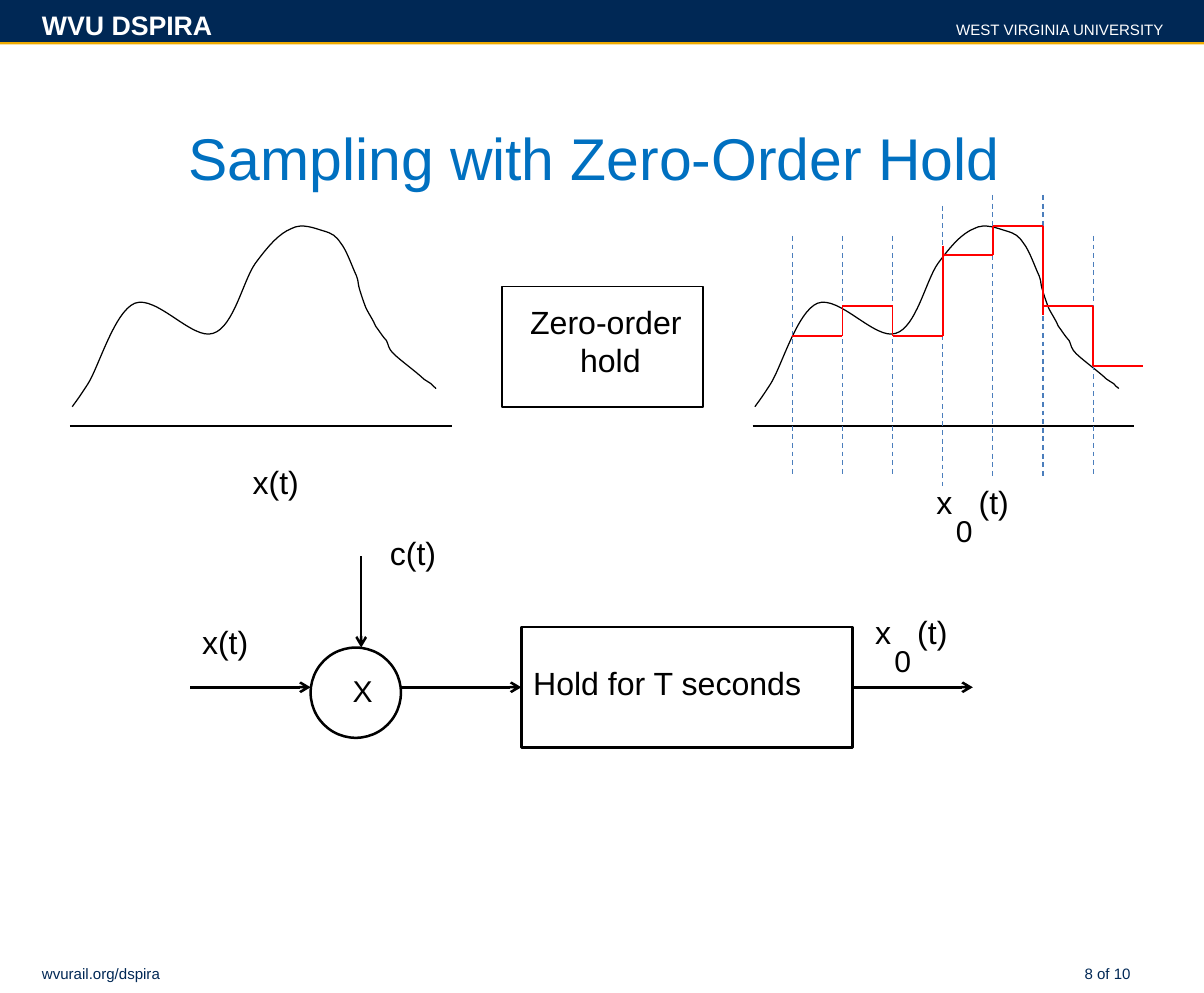
from lxml import etree
from pptx import Presentation
from pptx.dml.color import RGBColor
from pptx.enum import dml, shapes, text
from pptx.oxml import ns
from pptx.util import Inches, Pt

NAVY = RGBColor(0x00, 0x28, 0x55)
GOLD = RGBColor(0xEE, 0xAA, 0x00)
TITLE = RGBColor(0x00, 0x70, 0xC0)
DASH = RGBColor(0x4B, 0x7E, 0xBC)
RED = RGBColor(0xFF, 0x00, 0x00)
BLACK = RGBColor(0x00, 0x00, 0x00)
WHITE = RGBColor(0xFF, 0xFF, 0xFF)
LEFT, MID, RIGHT = text.PP_ALIGN.LEFT, text.PP_ALIGN.CENTER, text.PP_ALIGN.RIGHT
RECT, OVAL = shapes.MSO_SHAPE.RECTANGLE, shapes.MSO_SHAPE.OVAL

# Start point, then two control points and an end point for each segment.
WAVE = [
    (0, 1.53),
    (0.02, 1.5), (0.04, 1.48), (0.13, 1.34),
    (0.22, 1.2), (0.35, 0.74), (0.52, 0.67),
    (0.7, 0.6), (1, 0.98), (1.17, 0.92),
    (1.34, 0.87), (1.42, 0.48), (1.52, 0.34),
    (1.63, 0.19), (1.72, 0.09), (1.82, 0.05),
    (1.91, 0), (2.02, 0.05), (2.09, 0.07),
    (2.16, 0.09), (2.19, 0.11), (2.23, 0.17),
    (2.28, 0.23), (2.33, 0.38), (2.36, 0.44),
    (2.38, 0.5), (2.37, 0.48), (2.38, 0.53),
    (2.39, 0.57), (2.42, 0.66), (2.44, 0.71),
    (2.47, 0.77), (2.5, 0.81), (2.52, 0.86),
    (2.55, 0.9), (2.58, 0.95), (2.61, 0.98),
    (2.63, 1.02), (2.62, 1.04), (2.67, 1.09),
    (2.72, 1.14), (2.87, 1.25), (2.92, 1.3),
    (2.98, 1.34), (2.99, 1.34), (3, 1.36),
    (3.02, 1.37), (3.02, 1.38), (3.02, 1.38),
]
# Top and bottom of each sampling line, and the level held after it.
SAMPLES = [
    (0.11, 2.11, 0.94), (0.11, 2.11, 0.69), (0.11, 2.11, 0.94),
    (-0.14, 2.19, 0.27), (-0.23, 2.11, 0.03), (-0.23, 2.11, 0.69),
    (0.11, 2.11, 1.19),
]
# Risers that run past the levels they join.
LONG = {3: (0.19, 0.94), 5: (0.03, 0.77)}


def put_text(slide, words, x, y, w, h, size=19.2, color=BLACK, bold=False,
             align=LEFT, anchor=text.MSO_ANCHOR.TOP, wrap=False, tab=None):
    frame = slide.shapes.add_textbox(*map(Inches, (x, y, w, h))).text_frame
    frame.word_wrap = wrap
    frame.vertical_anchor = anchor
    for i, line in enumerate(words.split("\n")):
        para = frame.add_paragraph() if i else frame.paragraphs[0]
        para.alignment = align
        if tab:
            tabs = etree.SubElement(para._p.get_or_add_pPr(), ns.qn("a:tabLst"))
            etree.SubElement(tabs, ns.qn("a:tab"), pos=str(Inches(tab)), algn="l")
        run = para.add_run()
        run.text = line
        font = run.font
        font.name, font.size, font.bold = "Arial", Pt(size), bold
        font.color.rgb = color


def put_line(slide, x1, y1, x2, y2, color=BLACK, width=0.75, dash=False, arrow=False):
    line = slide.shapes.add_connector(
        shapes.MSO_CONNECTOR.STRAIGHT, *map(Inches, (x1, y1, x2, y2)))
    line.line.color.rgb = color
    line.line.width = Pt(width)
    if dash:
        line.line.dash_style = dml.MSO_LINE.DASH
    if arrow:
        etree.SubElement(line.line._get_or_add_ln(), ns.qn("a:tailEnd"), type="arrow")
    etree.SubElement(line._element.spPr, ns.qn("a:effectLst"))


def put_shape(slide, kind, x, y, w, h, fill=None, width=None):
    shape = slide.shapes.add_shape(kind, *map(Inches, (x, y, w, h)))
    shape.shadow.inherit = False
    if fill is None:
        shape.fill.background()
    else:
        shape.fill.solid()
        shape.fill.fore_color.rgb = fill
    if width is None:
        shape.line.fill.background()
    else:
        shape.line.color.rgb = BLACK
        shape.line.width = Pt(width)


def put_wave(slide, x, y):
    """Draw WAVE as a smooth curve, turning every three segments into one cubic."""
    points = [(Inches(x + dx), Inches(y + dy)) for dx, dy in WAVE]
    build = slide.shapes.build_freeform(*points[0])
    build.add_line_segments(points[1:], close=False)
    wave = build.convert_to_shape()
    wave.shadow.inherit = False
    wave.fill.background()
    wave.line.color.rgb = BLACK
    wave.line.width = Pt(0.75)
    steps = list(wave._element.iter(ns.qn("a:lnTo")))
    for i in range(0, len(steps), 3):
        cubic = etree.Element(ns.qn("a:cubicBezTo"))
        steps[i].addprevious(cubic)
        for step in steps[i:i + 3]:
            cubic.append(step[0])
            step.getparent().remove(step)


def draw_graph(slide, x, y):
    put_line(slide, x, y + 1.69, x + 3.17, y + 1.69)
    put_wave(slide, x + 0.02, y)


def draw_hold(slide, x, y, gap=5 / 12):
    """Draw the sampling lines and the red staircase."""
    for i, (top, end, _) in enumerate(SAMPLES):
        at = x + i * gap
        put_line(slide, at, y + top, at, y + end, DASH, dash=True)
    for i, (_, _, level) in enumerate(SAMPLES):
        at = x + i * gap
        put_line(slide, at, y + level, at + gap, y + level, RED, 1)
        if i:
            top, end = LONG.get(i, sorted((SAMPLES[i - 1][2], level)))
            put_line(slide, at, y + top, at, y + end, RED, 1)


def label_held(slide, x, y):
    """Write x0(t) with its lowered zero."""
    put_text(slide, "x\t(t)", x, y, 0.96, 0.5, tab=0.35)
    put_text(slide, "0", x + 0.16, y + 0.25, 0.33, 0.4, size=18)


def draw_block(slide, x, y):
    put_shape(slide, RECT, x, y, 1.67, 1, width=1)
    put_text(slide, "Zero-order \nhold", x + 0.03, y + 0.08, 1.74, 0.91, align=MID)


def draw_chain(slide, x, y):
    """Draw the multiplier and the hold stage, with y at the top label."""
    flow = y + 1.33
    put_shape(slide, OVAL, x + 1, y + 1, 0.75, 0.75, width=1.5)
    put_text(slide, "X", x + 1.25, y + 1.16, 0.33, 0.4, size=18)
    put_shape(slide, RECT, x + 2.75, y + 0.83, 2.75, 1, width=1.5)
    put_text(slide, "Hold for T seconds", x + 2.75, y + 1.08, 2.83, 0.5, wrap=True)
    for start in (0, 1.75, 5.5):
        put_line(slide, x + start, flow, x + start + 1, flow, width=1.5, arrow=True)
    put_line(slide, x + 1.42, y + 0.24, x + 1.42, y + 1, width=1.5, arrow=True)
    put_text(slide, "x(t)", x, y + 0.74, 0.74, 0.5)
    put_text(slide, "c(t)", x + 1.56, y, 0.66, 0.5)
    label_held(slide, x + 5.59, y + 0.66)


def draw_header(slide, x, y, w):
    put_shape(slide, RECT, x, y, w, 0.35, fill=NAVY)
    put_shape(slide, RECT, x, y + 0.35, w, 0.02, fill=GOLD)
    put_text(slide, "WVU DSPIRA", x + 0.25, y + 0.02, 3.12, 0.28, size=16,
             color=WHITE, bold=True, wrap=True)
    put_text(slide, "WEST VIRGINIA UNIVERSITY", x + w - 3.12, y + 0.12, 2.88, 0.19,
             size=9, color=WHITE, align=RIGHT, wrap=True)


def draw_footer(slide, x, y):
    for words, dx, w in (("wvurail.org/dspira", 0, 7.29), ("8 of 10", 8.66, 0.83)):
        put_text(slide, words, x + dx, y, w, 0.25, size=9, color=NAVY, wrap=True)


def main():
    deck = Presentation()
    deck.slide_width, deck.slide_height = Inches(10), Inches(8.25)
    slide = deck.slides.add_slide(deck.slide_layouts[6])
    put_text(slide, "Sampling with Zero-Order Hold ", 0.5, 0.68, 9, 1.25, size=35.2,
             color=TITLE, align=MID, anchor=text.MSO_ANCHOR.MIDDLE, wrap=True)
    draw_graph(slide, 0.58, 1.85)
    draw_block(slide, 4.17, 2.38)
    put_text(slide, "x(t)", 2, 3.79, 0.74, 0.5)
    draw_graph(slide, 6.25, 1.85)
    draw_hold(slide, 6.58, 1.85)
    label_held(slide, 7.68, 3.96)
    draw_chain(slide, 1.58, 4.38)
    draw_footer(slide, 0.25, 7.96)
    draw_header(slide, 0, 0, 10)
    deck.save("out.pptx")


if __name__ == "__main__":
    main()
